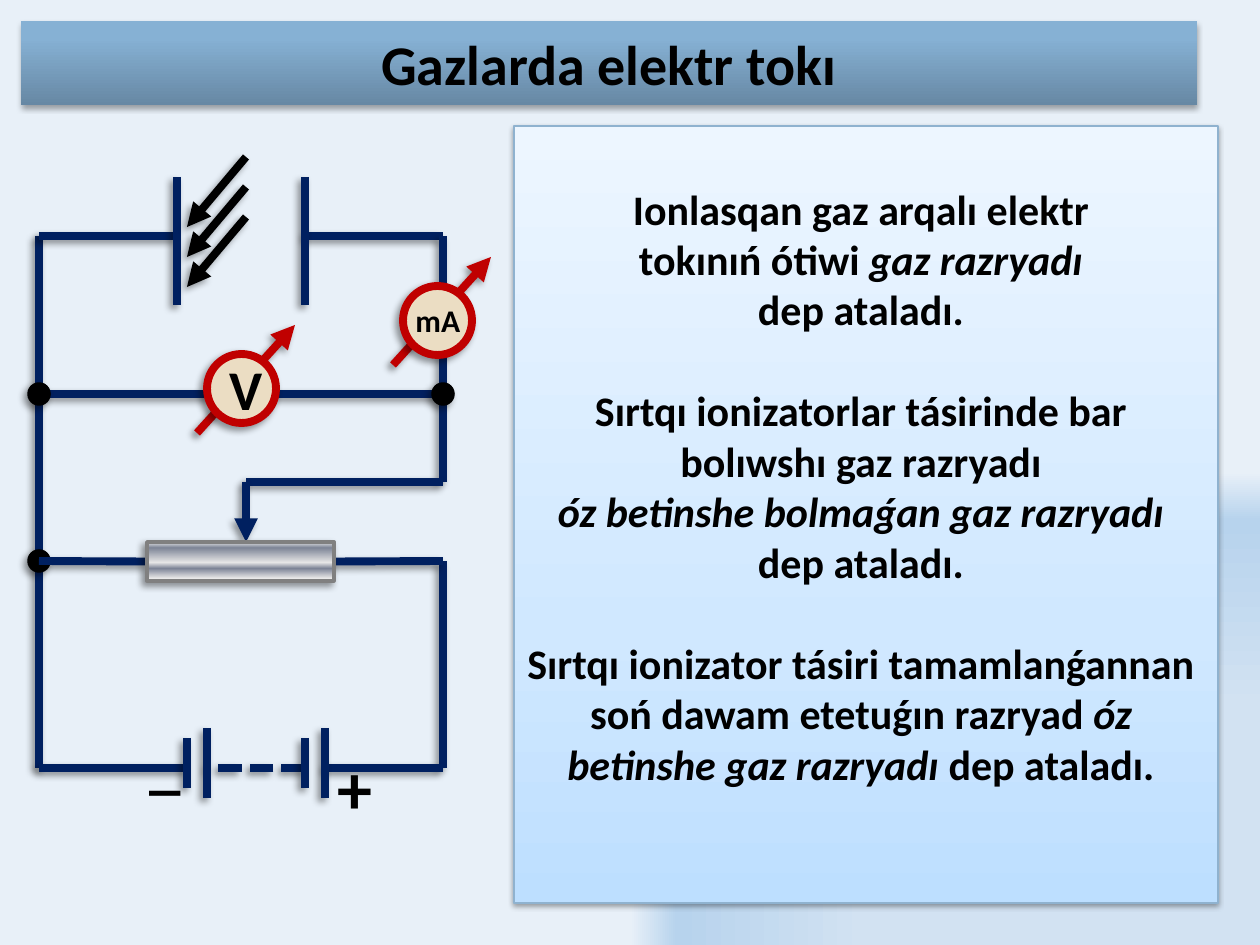
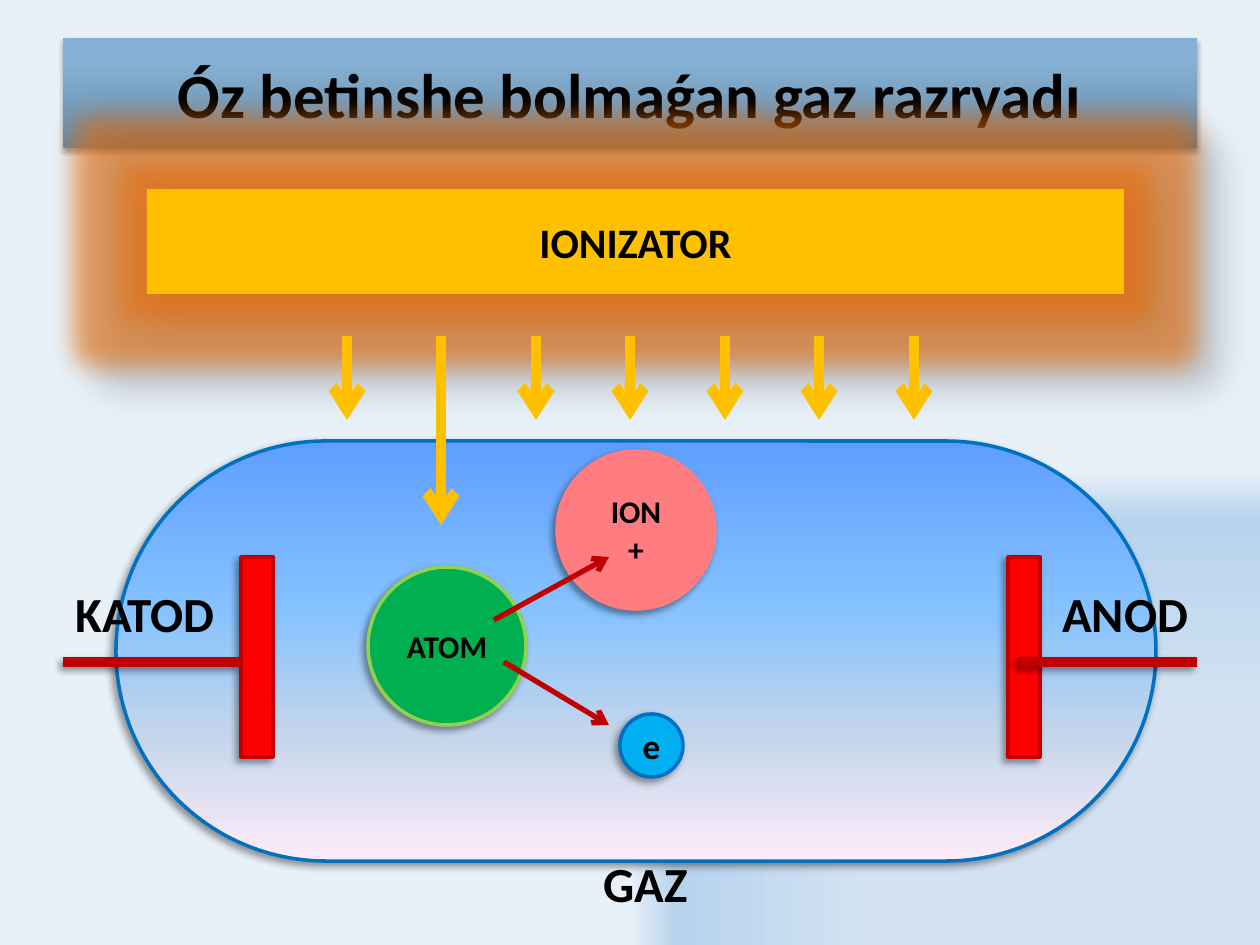
from lxml import etree
from pptx import Presentation
from pptx.dml.color import RGBColor
from pptx.enum.dml import MSO_LINE
from pptx.enum.shapes import MSO_CONNECTOR, MSO_SHAPE
from pptx.enum.text import MSO_ANCHOR, MSO_AUTO_SIZE, PP_ALIGN
from pptx.oxml.ns import qn
from pptx.util import Pt

RECTANGLE, ELLIPSE = MSO_SHAPE.RECTANGLE, MSO_SHAPE.OVAL
ROUNDED = MSO_SHAPE.ROUNDED_RECTANGLE
STRAIGHT = MSO_CONNECTOR.STRAIGHT
SYSTEM_DASH = MSO_LINE.SQUARE_DOT
TOP, MIDDLE = MSO_ANCHOR.TOP, MSO_ANCHOR.MIDDLE
FIT_SHAPE = MSO_AUTO_SIZE.SHAPE_TO_FIT_TEXT
CENTER, LEFT = PP_ALIGN.CENTER, PP_ALIGN.LEFT
LEFT_SIDE, RIGHT_SIDE = 1, 3

EMU_PER_PX = 914400 / 126
FONT = "Calibri"
BLACK, NAVY, RED, BLUE, AMBER = "000000", "002060", "C00000", "0070C0", "FFC000"

# Gradients: (stops, angle); no angle means a rectangular path
BACKGROUND = ([(50, "D2E2F2"), (90, "B7D3ED"), (100, "E8F0F8")], None)
TITLE_BAND = ([(0, "6788A4"), (80, "86B1D4"), (100, "86B2D7")], 270)
PANEL = ([(0, "BDDFFF"), (35, "D0E8FF"), (100, "EDF6FF")], 270)
METAL = ([(0, "FFFFFF"), (7, "E6E6E6"), (32, "7D8496"), (47, "E6E6E6"),
          (85, "7D8496"), (100, "E6E6E6")], 270)
GAS = ([(0, "5E9EFF"), (40, "85C2FF"), (70, "C4D6EB"), (100, "FFEBFA")], 90)

# Shadows: opacity %, blur pt, distance pt, direction
SOFT_SHADOW = (40, 4, 3, 135)
TITLE_SHADOW = (35, 3.1, 1.8, 90)
PANEL_SHADOW = (38, 3.1, 1.6, 90)
DEEP_SHADOW = (30, 15, 18, 45)

DEFINITIONS = [
    [("Ionlasqan gaz arqalı elektr", False)],
    [("tokınıń ótiwi ", False), ("gaz razryadı", True)],
    [("dep ataladı.", False)],
    [("Sırtqı ionizatorlar tásirinde bar bolıwshı gaz razryadı", False)],
    [("óz betinshe bolmaǵan gaz razryadı", True)],
    [("dep ataladı.", False)],
    [("Sırtqı ionizator tásiri tamamlanǵannan soń dawam etetuǵın razryad ", False),
     ("óz betinshe gaz razryadı", True), (" dep ataladı.", False)],
]
DEFINITION_STARTS = (3, 6)


def px(length):
    return round(length * EMU_PER_PX)


def color(value):
    return RGBColor.from_string(value)


def child(parent, tag, **attributes):
    element = etree.SubElement(parent, qn(tag))
    for name, value in attributes.items():
        element.set(name, str(value))
    return element


def set_gradient(fill, owner, gradient):
    """Replace the owner's fill with a gradient."""
    stops, angle = gradient
    fill.solid()
    solid = owner.find(".//" + qn("a:solidFill"))
    element = etree.Element(qn("a:gradFill"), rotWithShape="1")
    stop_list = child(element, "a:gsLst")
    for position, value in stops:
        stop = child(stop_list, "a:gs", pos=position * 1000)
        child(stop, "a:srgbClr", val=value)
    if angle is None:
        path_fill = child(element, "a:path", path="rect")
        child(path_fill, "a:fillToRect", l=100000, t=100000)
    else:
        child(element, "a:lin", ang=angle * 60000, scaled=0)
    solid.getparent().replace(solid, element)


def add_effect_color(effect, value, opacity):
    child(child(effect, "a:srgbClr", val=value), "a:alpha", val=opacity * 1000)


def set_effects(shape, shadow, glow=None):
    """Give the shape just these effects; None means no shadow."""
    properties = shape.element.spPr
    effects = properties.find(qn("a:effectLst"))
    if effects is None:
        effects = child(properties, "a:effectLst")
    if glow:
        value, opacity, radius = glow
        add_effect_color(child(effects, "a:glow", rad=Pt(radius)), value, opacity)
    if shadow:
        opacity, blur, distance, direction = shadow
        outer = child(effects, "a:outerShdw", blurRad=Pt(blur), dist=Pt(distance),
                      dir=direction * 60000, algn="ctr", rotWithShape=0)
        add_effect_color(outer, BLACK, opacity)


def style_paragraph(paragraph, size, alignment):
    paragraph.alignment = alignment
    font = paragraph.font
    font.name, font.size, font.bold = FONT, Pt(size), True
    font.color.rgb = color(BLACK)


def write_lines(frame, lines, size, alignment=CENTER):
    for index, line in enumerate(lines):
        paragraph = frame.paragraphs[0] if index == 0 else frame.add_paragraph()
        style_paragraph(paragraph, size, alignment)
        for text, italic in line:
            run = paragraph.add_run()
            run.text = text
            if italic:
                run.font.italic = True


def add_box(slide, kind, box, fill, line=None, width=2, shadow=SOFT_SHADOW,
            glow=None, text=None, size=18):
    shape = slide.shapes.add_shape(kind, *map(px, box))
    shape.shadow.inherit = False
    if isinstance(fill, str):
        shape.fill.solid()
        shape.fill.fore_color.rgb = color(fill)
    else:
        set_gradient(shape.fill, shape.element, fill)
    if line:
        shape.line.color.rgb = color(line)
        shape.line.width = Pt(width)
    else:
        shape.line.fill.background()
    set_effects(shape, shadow, glow)
    if text:
        shape.text_frame.vertical_anchor = MIDDLE
        write_lines(shape.text_frame, [[(part, False)] for part in text.split("\n")], size)
    return shape


def add_line(slide, start, end, line=NAVY, width=4.5, head=None, dash=None,
             shadow=SOFT_SHADOW):
    connector = slide.shapes.add_connector(STRAIGHT, *map(px, start + end))
    connector.line.color.rgb = color(line)
    connector.line.width = Pt(width)
    if dash:
        connector.line.dash_style = dash
    if head:
        child(connector.element.spPr.find(qn("a:ln")), "a:tailEnd", type=head)
    set_effects(connector, shadow)
    return connector


def add_label(slide, box, text, size):
    frame = slide.shapes.add_textbox(*map(px, box)).text_frame
    frame.word_wrap = False
    frame.auto_size = FIT_SHAPE
    write_lines(frame, [[(text, False)]], size, LEFT)


def add_junction(slide, x, y):
    add_box(slide, ELLIPSE, (x - 10, y - 10, 20, 20), BLACK, BLACK)


def add_meter(slide, x, y, text=None):
    """Draw a meter centred at x, y with its slanted pointer behind."""
    add_line(slide, (x - 44, y + 45), (x + 54, y - 63), RED, head="triangle")
    add_box(slide, ELLIPSE, (x - 34, y - 34, 69, 69), "EBDDC3", RED, 4.5,
            text=text, size=32)


def add_slide(presentation, title, title_box, title_size):
    slide = presentation.slides.add_slide(presentation.slide_layouts[6])
    set_gradient(slide.background.fill, slide.element, BACKGROUND)
    add_box(slide, RECTANGLE, title_box, TITLE_BAND, shadow=TITLE_SHADOW,
            text=title, size=title_size)
    return slide


def add_definitions(slide):
    panel = add_box(slide, RECTANGLE, (514, 126, 704, 777), PANEL, "8FB2CF", 0.75,
                    PANEL_SHADOW)
    frame = panel.text_frame
    frame.vertical_anchor = TOP
    frame.margin_left, frame.margin_top, frame.margin_right = px(6), px(57), px(16)
    write_lines(frame, DEFINITIONS, 24)
    for index in DEFINITION_STARTS:
        frame.paragraphs[index].space_before = Pt(29)


def add_circuit(slide):
    left, right = 39, 443
    plates_y, meter_y, slider_y, rheostat_y, battery_y = 236, 394, 482, 561, 768

    # Wires
    add_line(slide, (left, plates_y), (left, battery_y))
    add_junction(slide, left, rheostat_y)
    wires = [
        ((left, plates_y), (177, plates_y)),
        ((right, plates_y), (305, plates_y)),
        ((right, plates_y), (right, slider_y)),
        ((left, meter_y), (217, meter_y)),
        ((right, meter_y), (256, meter_y)),
        ((right, slider_y), (246, slider_y)),
        ((right, rheostat_y), (right, battery_y)),
        ((left, battery_y), (187, battery_y)),
        ((right, battery_y), (325, battery_y)),
    ]
    for start, end in wires:
        add_line(slide, start, end)

    # Rheostat with its slider
    rheostat_left = add_line(slide, (left, rheostat_y), (147, rheostat_y))
    rheostat_right = add_line(slide, (right, rheostat_y), (334, rheostat_y))
    add_line(slide, (246, slider_y), (246, 542), head="triangle")
    rheostat = add_box(slide, RECTANGLE, (147, 542, 187, 39), METAL, "808080")
    rheostat_left.end_connect(rheostat, LEFT_SIDE)
    rheostat_right.end_connect(rheostat, RIGHT_SIDE)

    # Battery
    add_line(slide, (305, battery_y), (207, battery_y), dash=SYSTEM_DASH)
    for x, half in ((187, 25), (207, 35), (305, 25), (325, 35)):
        add_line(slide, (x, 763 - half), (x, 763 + half))
    add_label(slide, (325, 738, 60, 97), "+", 40)
    add_label(slide, (137, 718, 57, 89), "_", 36)

    # Meters and junctions
    add_meter(slide, 241, 388, "V")
    add_meter(slide, 437, 320)
    add_label(slide, (403, 295, 71, 50), "mA", 18)
    for x in (left, right):
        add_junction(slide, x, meter_y)

    # Plates and the rays between them
    for x in (177, 305):
        add_line(slide, (x, 177), (x, 305))
    for y in range(157, 218, 30):
        add_line(slide, (246, y), (187, y + 70), BLACK, head="triangle")


def add_gas_discharge(slide):
    # Ionizer and vessel
    add_box(slide, RECTANGLE, (147, 189, 977, 105), AMBER, shadow=DEEP_SHADOW,
            glow=("E46C0A", 60, 28), text="IONIZATOR", size=24)
    vessel = add_box(slide, ROUNDED, (116, 441, 1040, 420), GAS, BLUE)
    vessel.adjustments[0] = 0.5

    # Electrodes and leads
    for x in (241, 1008):
        add_box(slide, RECTANGLE, (x, 557, 32, 200), "FF0000", RED)
    for start_x, end_x in ((1018, 1197), (63, 241)):
        add_line(slide, (start_x, 662), (end_x, 662), RED, 6)

    # Rays: the second one reaches the atom
    for index in range(7):
        x = 347 + index * 189 // 2
        add_line(slide, (x, 336), (x, 525 if index == 1 else 420), AMBER, 6, "arrow",
                 shadow=None)

    # Atom splitting into an ion and an electron
    add_box(slide, ELLIPSE, (368, 567, 158, 158), "00B050", "92D050", text="ATOM")
    add_box(slide, ELLIPSE, (557, 451, 158, 158), "FF7C80", "FF7C80", text="ION\n+")
    add_box(slide, ELLIPSE, (620, 714, 63, 63), "00B0F0", BLUE, text="е", size=20)
    for start, end in (((494, 620), (609, 557)), ((504, 662), (609, 725))):
        add_line(slide, start, end, RED, 3, "arrow", shadow=None)

    # Labels
    add_label(slide, (63, 577, 166, 72), "KATOD", 28)
    add_label(slide, (1050, 577, 152, 72), "ANOD", 28)
    add_label(slide, (591, 847, 111, 72), "GAZ", 28)


def main():
    presentation = Presentation()
    presentation.slide_width, presentation.slide_height = px(1260), px(945)

    slide = add_slide(presentation, "Gazlarda elektr tokı", (21, 21, 1176, 84), 32)
    add_definitions(slide)
    add_circuit(slide)

    slide = add_slide(presentation, "Óz betinshe bolmaǵan gaz razryadı",
                      (63, 38, 1134, 110), 36)
    add_gas_discharge(slide)

    presentation.save("out.pptx")


if __name__ == "__main__":
    main()
